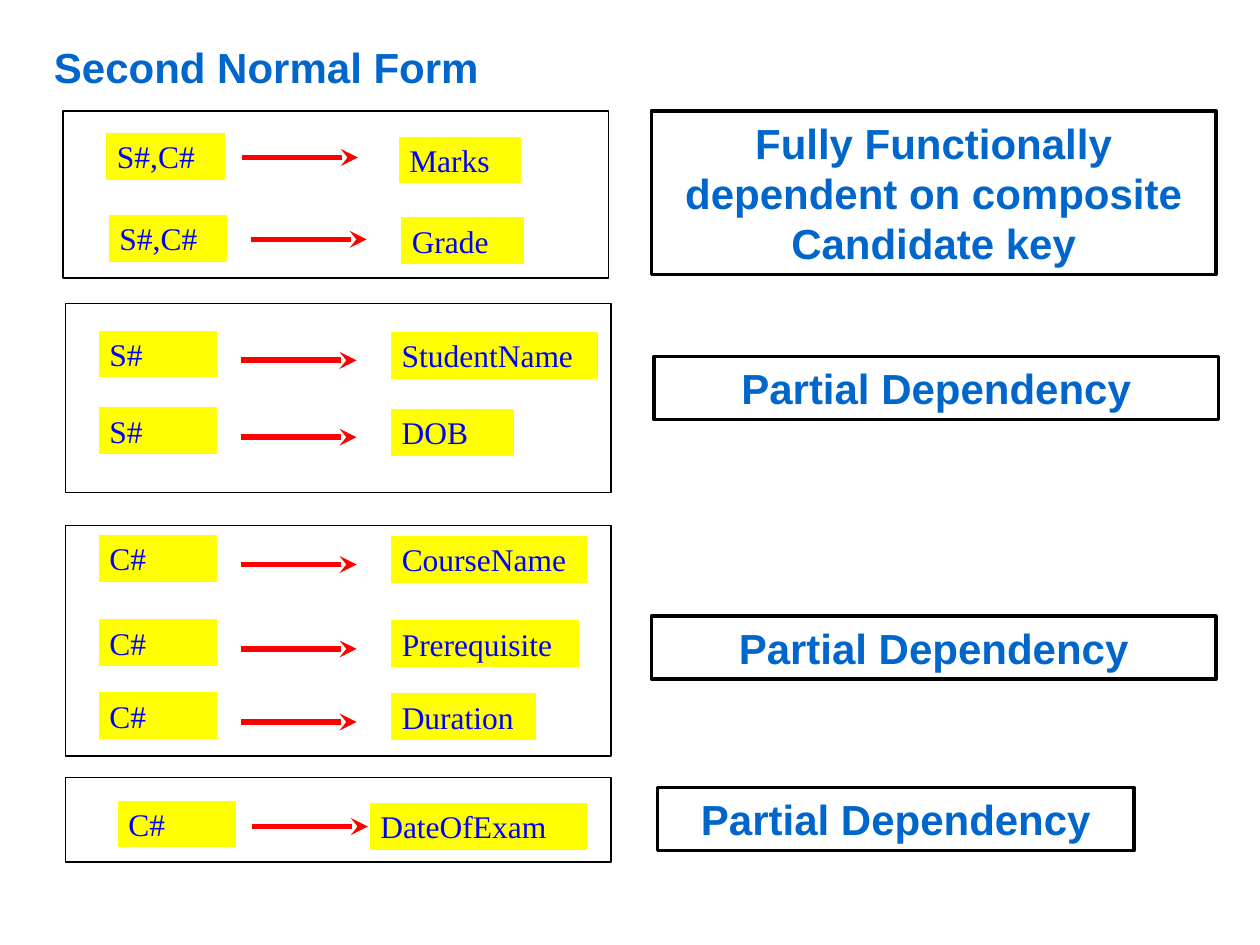
from pptx import Presentation
from pptx.dml.color import RGBColor
from pptx.enum.shapes import MSO_CONNECTOR as Connector, MSO_SHAPE as Shape
from pptx.enum.text import MSO_ANCHOR as Anchor, MSO_AUTO_SIZE as AutoSize, PP_ALIGN as Align
from pptx.oxml.ns import qn
from pptx.util import Inches, Pt
from lxml.etree import SubElement


def color(value):
    return RGBColor.from_string(value)


def write_text(shape, text, font="Arial", size=24, ink="0066CC", bold=True,
               align=Align.LEFT, anchor=Anchor.TOP, before=0, fit=AutoSize.NONE):
    frame = shape.text_frame
    frame.word_wrap = True
    frame.auto_size = fit
    frame.vertical_anchor = anchor
    paragraph = frame.paragraphs[0]
    paragraph.alignment = align
    paragraph.space_before = Pt(before)
    run = paragraph.add_run()
    run.text = text
    run.font.name = font
    run.font.size = Pt(size)
    run.font.bold = bold
    run.font.color.rgb = color(ink)


class DependencySlide:
    black, white, yellow, red, blue = "000000", "FFFFFF", "FFFF00", "FF0000", "0000FF"
    box_height = 0.4
    key_width = 0.97
    arrow_length = 0.92

    def __init__(self, slide):
        self.slide = slide
        self.canvas = slide.shapes

    def start_group(self):
        self.canvas = self.slide.shapes.add_group_shape().shapes

    def end_group(self):
        self.canvas = self.slide.shapes

    def title(self, text, left, top, width, height):
        box = self.canvas.add_textbox(Inches(left), Inches(top), Inches(width), Inches(height))
        write_text(box, text, anchor=Anchor.MIDDLE)

    def rectangle(self, left, top, width, height, line, weight, fill=None):
        shape = self.canvas.add_shape(
            Shape.RECTANGLE, Inches(left), Inches(top), Inches(width), Inches(height))
        shape.shadow.inherit = False
        if fill:
            shape.fill.solid()
            shape.fill.fore_color.rgb = color(fill)
        else:
            shape.fill.background()
        shape.line.color.rgb = color(line)
        shape.line.width = Pt(weight)
        return shape

    def frame(self, left, top, width, height):
        self.rectangle(left, top, width, height, self.black, 1)

    def attribute(self, text, left, top, width):
        box = self.rectangle(left, top, width, self.box_height, self.white, 2, self.yellow)
        write_text(box, text, font="Times New Roman", size=18, ink=self.blue, bold=False,
                   fit=AutoSize.SHAPE_TO_FIT_TEXT)
        return box

    def verdict(self, text, left, top, width, height):
        box = self.rectangle(left, top, width, height, self.black, 2)
        write_text(box, text, align=Align.CENTER, before=15, fit=AutoSize.SHAPE_TO_FIT_TEXT)

    def arrow(self, left, top):
        connector = self.canvas.add_connector(
            Connector.STRAIGHT, Inches(left), Inches(top),
            Inches(left + self.arrow_length), Inches(top))
        connector.line.color.rgb = color(self.red)
        connector.line.width = Pt(3.25)
        SubElement(connector.line._get_or_add_ln(), qn("a:tailEnd"), type="stealth")
        SubElement(connector._element.spPr, qn("a:effectLst"))
        return connector

    def dependency(self, key, value, left, top, width,
                   value_shift=(2.32, 0.01), arrow_shift=(1.14, 0.25)):
        self.attribute(key, left, top, self.key_width)
        target = self.attribute(value, left + value_shift[0], top + value_shift[1], width)
        return self.arrow(left + arrow_shift[0], top + arrow_shift[1]), target


def main():
    presentation = Presentation()
    presentation.slide_width = Inches(10)
    presentation.slide_height = Inches(7.5)
    page = DependencySlide(presentation.slides.add_slide(presentation.slide_layouts[6]))

    page.title("Second Normal Form", 0.33, 0.25, 9.38, 0.56)

    page.start_group()
    page.frame(0.5, 0.88, 4.33, 1.33)
    page.dependency("S#,C#", "Marks", 0.83, 1.04, 1, (2.32, 0.03), (1.09, 0.21))
    page.dependency("S#,C#", "Grade", 0.85, 1.69, 1, (2.32, 0.02), (1.14, 0.21))

    sections = [
        ("S#", 2.41, 1.5, [("StudentName", 2.61, 1.67), ("DOB", 3.22, 1)]),
        ("C#", 4.17, 1.83, [("CourseName", 4.23, 1.58), ("Prerequisite", 4.9, 1.52),
                            ("Duration", 5.48, 1.18)]),
    ]
    for key, frame_top, frame_height, rows in sections:
        page.start_group()
        page.frame(0.52, frame_top, 4.33, frame_height)
        for value, top, width in rows:
            page.dependency(key, value, 0.77, top, width)
    page.end_group()

    page.frame(0.52, 6.17, 4.33, 0.67)
    exam_arrow, exam_date = page.dependency(
        "C#", "DateOfExam", 0.92, 6.34, 1.75, (2, 0.02), (1.08, 0.22))
    exam_arrow.end_connect(exam_date, 1)

    page.verdict("Fully Functionally dependent on composite Candidate key", 5.17, 0.88, 4.48, 1.3)
    for left, top, width in [(5.19, 2.83, 4.48), (5.17, 4.89, 4.48), (5.22, 6.25, 3.78)]:
        page.verdict("Partial Dependency", left, top, width, 0.5)

    presentation.save("out.pptx")


if __name__ == "__main__":
    main()
